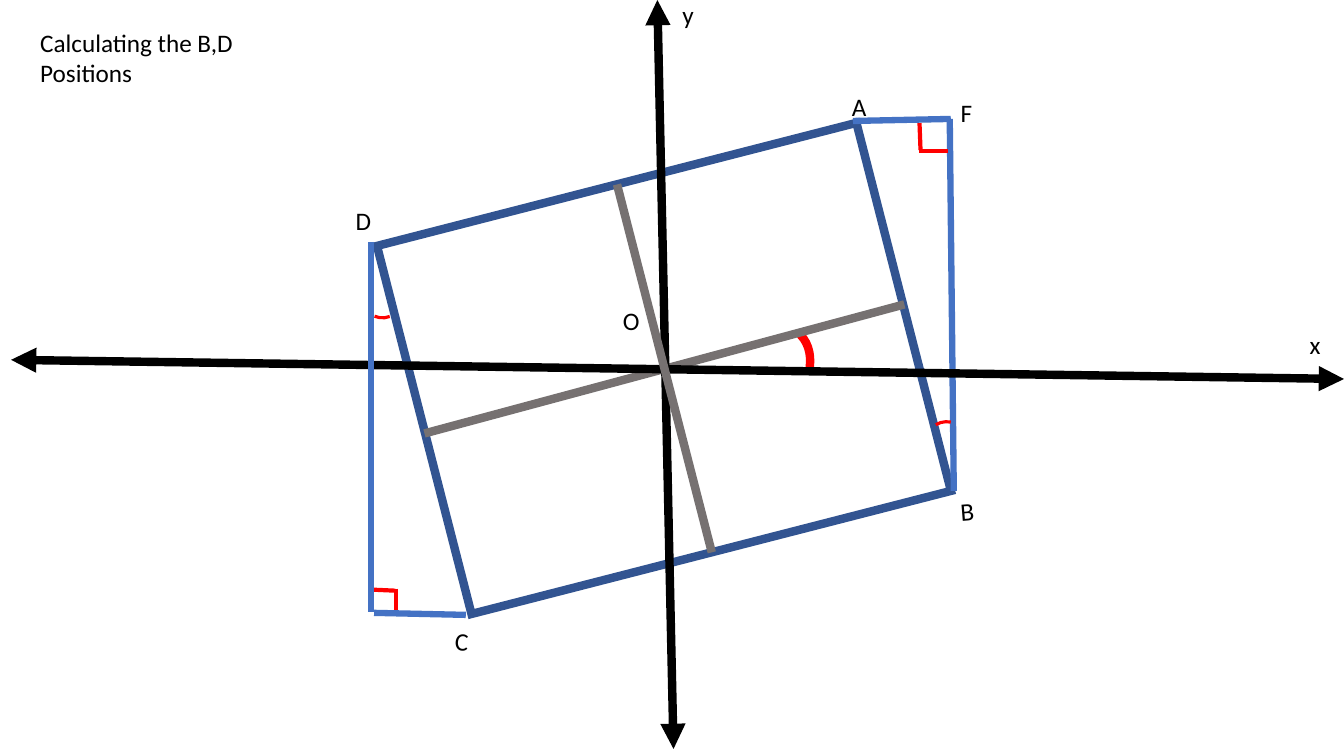
from pptx import Presentation
from pptx.dml.color import RGBColor
from pptx.enum.shapes import MSO_CONNECTOR, MSO_SHAPE
from pptx.enum.text import PP_ALIGN
from pptx.oxml.ns import qn
from pptx.util import Inches, Pt
from lxml.etree import SubElement

COLORS = {
    "black": "000000",
    "side": "325491",
    "triangle": "4472C4",
    "midline": "767171",
    "angle": "FF0000",
}


def add_text(tf, text, size=18, font="Calibri", color="black"):
    p = tf.paragraphs[0]
    p.alignment = PP_ALIGN.LEFT
    r = p.add_run()
    r.text = text
    r.font.size = Pt(size)
    r.font.name = font
    r.font.color.rgb = RGBColor.from_string(COLORS[color])


class Diagram:
    def __init__(self, slide):
        self.s = slide

    def stroke(self, sp, color, width):
        sp.line.color.rgb = RGBColor.from_string(COLORS[color])
        sp.line.width = Pt(width)
        ln = sp.line._get_or_add_ln()
        SubElement(ln, qn("a:miter"), lim="800000")
        return ln

    def outline(self, kind, at, rotation, color, width, angles=()):
        sp = self.s.shapes.add_shape(kind, *map(Inches, at))
        sp.shadow.inherit = False
        sp.fill.background()
        sp.rotation = rotation
        for i, angle in enumerate(angles):
            sp.adjustments[i] = angle
        self.stroke(sp, color, width)
        return sp

    def line(self, start, end, color, width, arrows=False, joins=None):
        x1, y1, x2, y2 = map(Inches, start + end)
        c = self.s.shapes.add_connector(MSO_CONNECTOR.STRAIGHT, x1, y1, x2, y2)
        if joins:
            sp, first, last = joins
            c.begin_connect(sp, first)
            c.end_connect(sp, last)
            # The joined sides belong to a rotated rectangle
            c.begin_x, c.begin_y, c.end_x, c.end_y = x1, y1, x2, y2
        ln = self.stroke(c, color, width)
        if arrows:
            for tag in ("a:headEnd", "a:tailEnd"):
                SubElement(ln, qn(tag), type="triangle")
        SubElement(c._element.spPr, qn("a:effectLst"))

    def label(self, text, at, rotation=0):
        sp = self.s.shapes.add_textbox(*map(Inches, at))
        sp.rotation = rotation
        sp.text_frame.word_wrap = True
        add_text(sp.text_frame, text)


def main():
    prs = Presentation()
    prs.slide_width, prs.slide_height = Inches(13.33), Inches(7.5)
    d = Diagram(prs.slides.add_slide(prs.slide_layouts[6]))

    # Rotation angle and rectangle ABCD
    d.outline(MSO_SHAPE.ARC, (7.14, 3.17, 0.82, 1.15), 40.2, "angle", 6,
              (163.423, 188.076))
    rect = d.outline(MSO_SHAPE.RECTANGLE, (4.13, 1.77, 4.91, 3.77), 165.6,
                     "side", 6)

    # Point labels
    for text, x, y, w, h, rotation in (
        ("A", 8.35, 0.86, 0.49, 0.52, 0),
        ("B", 9.43, 4.86, 0.49, 0.52, 355.4),
        ("C", 4.41, 6.17, 0.49, 0.52, 4.2),
        ("D", 3.43, 1.99, 0.49, 0.52, 0),
        ("O", 6.08, 2.98, 0.4, 0.52, 0),
        ("F", 9.43, 0.92, 0.33, 0.42, 0),
        ("y", 6.67, -0.06, 0.39, 0.4, 0),
        ("x", 12.89, 3.22, 0.39, 0.4, 0),
    ):
        d.label(text, (x, y, w, h), rotation)
    d.label("Calculating the B,D Positions", (0.3, 0.22, 2.24, 0.71))

    # Long midline, right triangle side and axes
    d.line((4.21, 4.3), (8.97, 3.02), "midline", 6, joins=(rect, 3, 1))
    d.line((9.42, 1.18), (9.46, 4.87), "triangle", 4.5)
    d.line((0.11, 3.57), (13.33, 3.76), "black", 6, arrows=True)
    d.line((6.68, 7.43), (6.52, 0), "black", 6, arrows=True)

    # Right-angle marks
    for start, end in (
        ((9.12, 1.22), (9.13, 1.49)),
        ((9.12, 1.5), (9.4, 1.5)),
        ((3.7, 5.85), (3.92, 5.86)),
        ((3.93, 5.84), (3.93, 6.08)),
    ):
        d.line(start, end, "angle", 3)

    # Short midline and remaining triangle sides
    d.line((7.06, 5.48), (6.12, 1.83), "midline", 6, joins=(rect, 0, 2))
    for start, end in (
        ((9.43, 1.18), (8.46, 1.2)),
        ((3.68, 2.4), (3.68, 6.07)),
        ((3.71, 6.08), (4.62, 6.1)),
    ):
        d.line(start, end, "triangle", 4.5)

    # Equal angles at B and D
    for x, y, rotation in ((9.21, 4.17, 323.6), (3.55, 2.65, 154.6)):
        d.outline(MSO_SHAPE.ARC, (x, y, 0.43, 0.51), rotation, "angle", 2.25,
                  (163.423, 184.598))

    prs.save("out.pptx")


if __name__ == "__main__":
    main()
